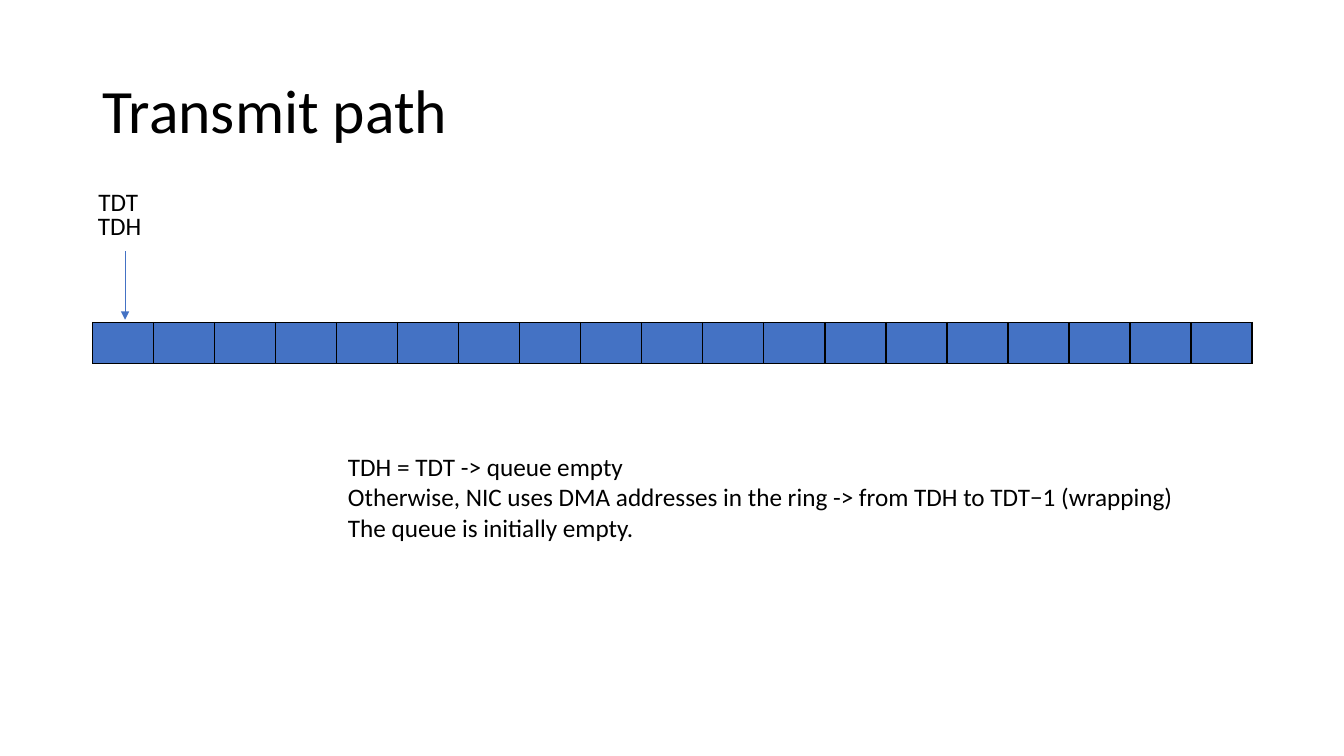
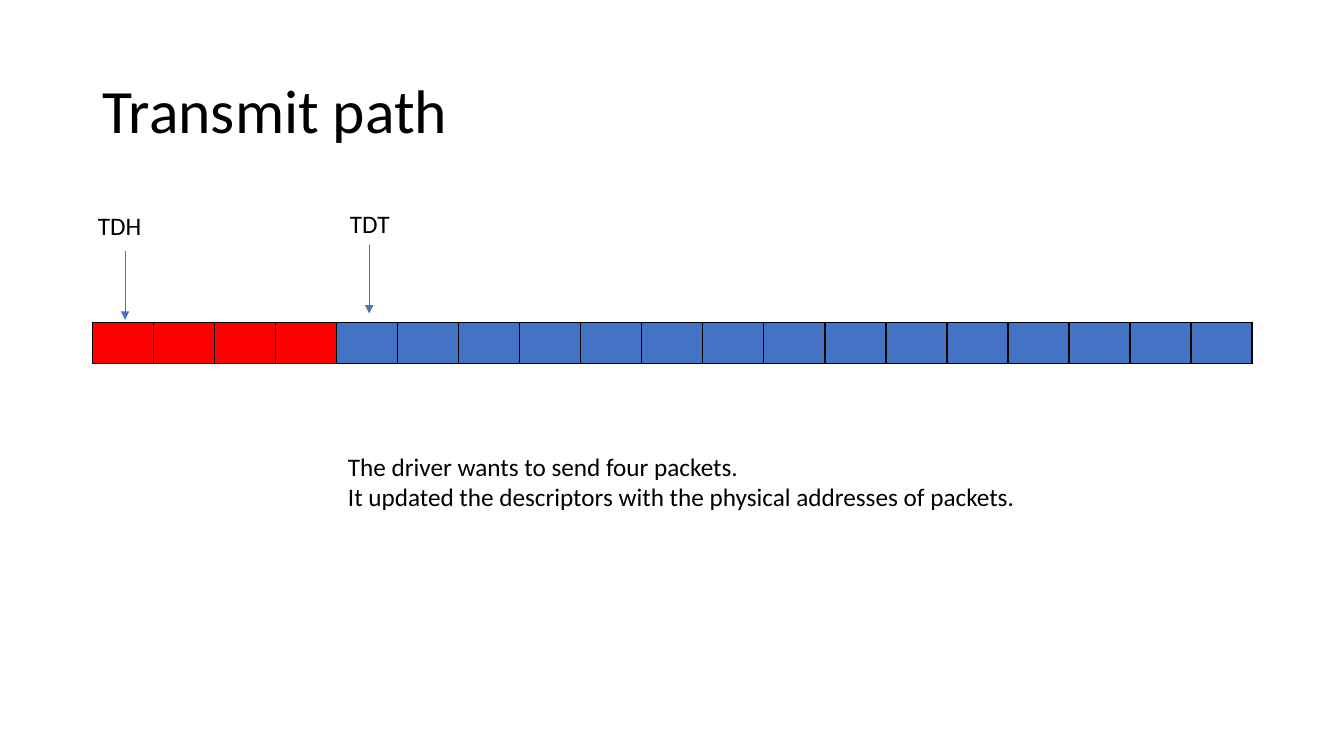
from lxml.etree import SubElement as Sub
from pptx import Presentation
from pptx.dml.color import RGBColor as Rgb
from pptx.enum.shapes import MSO_CONNECTOR as Conn
from pptx.enum.text import MSO_ANCHOR as Anchor
from pptx.oxml.ns import qn
from pptx.util import Inches, Pt

WIDE, HIGH = 13.33, 7.5
LEFT, TOP = 0.92, 3.2
SLOTS = 19
COL, ROW = 11.5 / SLOTS, 0.41
FONT = "Calibri"
BLACK, BLUE, RED = "000000", "4472C4", "FF0000"


def color(code):
    """Turn a hex string into a colour."""
    return Rgb.from_string(code)


def cols(count):
    """Give the width of some ring slots."""
    return Inches(count * COL)


def rows(count):
    """Give the height of some ring rows."""
    return Inches(count * ROW)


def across(col):
    """Place a column, counted from the left of the ring."""
    return Inches(LEFT) + cols(col)


def down(row):
    """Place a row, counted from the top of the ring."""
    return Inches(TOP) + rows(row)


def text(slide, words, col, row, wide, high=None, size=18):
    """Add a text box, by default as high as its lines."""
    high = high or 0.27 + 0.73 * len(words.split("\n"))
    box = slide.shapes.add_textbox(across(col), down(row), cols(wide), rows(high))
    frame = box.text_frame
    frame.word_wrap = True
    frame.text = words
    for para in frame.paragraphs:
        for run in para.runs:
            font = run.font
            font.name, font.size = FONT, Pt(size)
            font.color.rgb = color(BLACK)
    return frame


def title(slide, words):
    """Add the slide title."""
    frame = text(slide, words, 0, -6.83, SLOTS, 3.54, 44)
    frame.vertical_anchor = Anchor.MIDDLE
    frame.paragraphs[0].line_spacing = 0.9


def edge(cell):
    """Draw a thin black border round a cell."""
    props = cell._tc.get_or_add_tcPr()
    for side in ("lnL", "lnR", "lnT", "lnB"):
        line = Sub(props, qn(f"a:{side}"), w=str(Pt(1)))
        fill = Sub(line, qn("a:solidFill"))
        Sub(fill, qn("a:srgbClr"), val=BLACK)


def ring(slide, used):
    """Add the descriptor ring with its first slots in use."""
    grid = slide.shapes.add_table(
        1, SLOTS, across(0), down(0), cols(SLOTS), rows(1)).table
    for slot, cell in enumerate(grid.iter_cells()):
        grid.columns[slot].width = cols(1)
        edge(cell)
        cell.fill.solid()
        cell.fill.fore_color.rgb = color(RED if slot < used else BLUE)


def arrow(slide, slot, row):
    """Point down at a slot, starting from a row above the ring."""
    mid = across(slot + 0.53)
    link = slide.shapes.add_connector(
        Conn.STRAIGHT, mid, down(row), mid, down(row + 1.66))
    link.line.color.rgb = color(BLUE)
    link.line.width = Pt(0.5)
    Sub(link.line._get_or_add_ln(), qn("a:tailEnd"), type="triangle")
    Sub(link._element.spPr, qn("a:effectLst"))


def label(slide, name, col, row):
    """Name a ring pointer."""
    text(slide, name, col, row, 2.26)


def base(deck, used, note):
    """Add a slide with title, ring, head pointer and note."""
    slide = deck.slides.add_slide(deck.slide_layouts[6])
    title(slide, "Transmit path")
    ring(slide, used)
    arrow(slide, 0, -1.73)
    label(slide, "TDH", -0.08, -2.83)
    text(slide, note, 4.02, 3, 14.18)
    return slide


def main():
    """Build the deck."""
    deck = Presentation()
    deck.slide_width, deck.slide_height = Inches(WIDE), Inches(HIGH)
    empty = base(deck, 0, (
        "TDH = TDT -> queue empty\n"
        "Otherwise, NIC uses DMA addresses in the ring"
        " -> from TDH to TDT−1 (wrapping)\n"
        "The queue is initially empty."))
    label(empty, "TDT", -0.07, -3.41)
    ready = base(deck, 4, (
        "The driver wants to send four packets.\n"
        "It updated the descriptors with the physical addresses of packets."))
    label(ready, "TDT", 4.05, -2.88)
    arrow(ready, 4, -1.88)
    deck.save("out.pptx")


if __name__ == "__main__":
    main()
